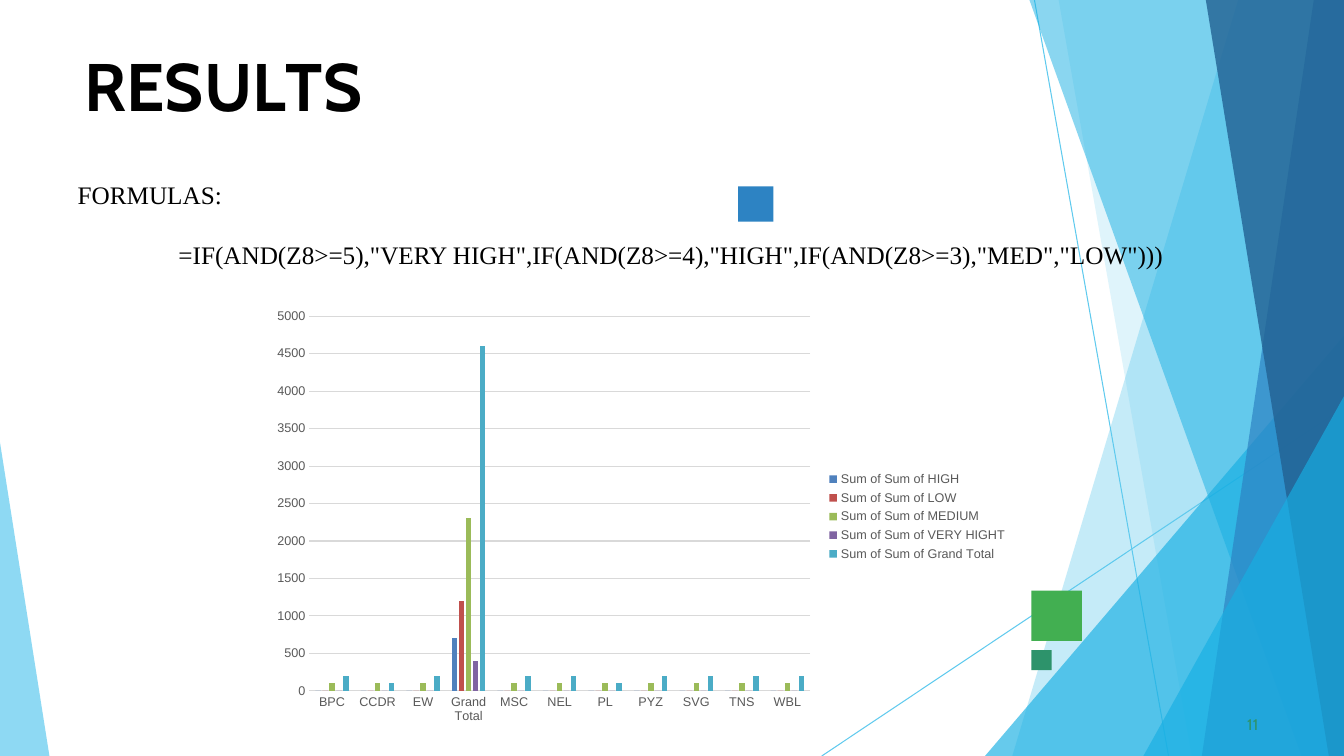
import pptx
import pptx.chart.data
import pptx.dml.color
import pptx.enum.chart
import pptx.enum.shapes
import pptx.enum.text
import pptx.oxml.ns
import pptx.util
from lxml import etree

# Content
TITLE = [("R", 0), ("E", -0.4), ("S", 0.1), ("U", -0.3), ("L", -4), ("TS", 0)]  # text, spacing in points
BODY = [
    "FORMULAS:",
    '=IF(AND(Z8>=5),"VERY HIGH",IF(AND(Z8>=4),"HIGH",IF(AND(Z8>=3),"MED","LOW")))',
]
PAGE = "11"
CATEGORIES = ["BPC", "CCDR", "EW", "Grand Total", "MSC", "NEL", "PL", "PYZ", "SVG", "TNS", "WBL"]
SERIES = [
    ("Sum of Sum of HIGH", "4F81BD", [0, 0, 0, 700, 0, 0, 0, 0, 0, 0, 0]),
    ("Sum of Sum of LOW", "C0504D", [0, 0, 0, 1200, 0, 0, 0, 0, 0, 0, 0]),
    ("Sum of Sum of MEDIUM", "9BBB59", [100, 100, 100, 2300, 100, 100, 100, 100, 100, 100, 100]),
    ("Sum of Sum of VERY HIGHT", "8064A2", [0, 0, 0, 400, 0, 0, 0, 0, 0, 0, 0]),
    ("Sum of Sum of Grand Total", "4BACC6", [200, 100, 200, 4600, 200, 200, 100, 200, 200, 200, 200]),
]
COLORS = {
    "sky": "5FCAEE", "cyan": "17AFE3", "blue": "2D83C3", "navy": "226192", "green": "42AF51",
    "teal": "2D936B", "black": "000000", "label": "595959", "rule": "D9D9D9",
}
CHART_FONT = "Liberation Sans"

# Geometry in inches
W, H = 13.33, 7.5
RAYS = [(10.26, 0, 11.59, H), (W, 4.04, 8.15, H)]
# Wedges against the right edge: top y, top x, bottom x, colour, opacity %
WEDGES = [
    (0, 12.28, 10.04, "sky", 36),
    (0, 10.5, 11.82, "sky", 20),
    (3.33, W, 9.77, "cyan", 66),
    (0, 10.21, 12.91, "cyan", 50),
    (0, 13.03, 11.92, "blue", 70),
    (0, 11.96, 13.18, "navy", 80),
    (3.93, W, 11.34, "cyan", 66),
]
LEFT_WEDGE = [(0, 4.39), (0, H), (0.49, H)]
SQUARES = [(10.23, 5.86, 0.5, "green"), (7.32, 1.85, 0.35, "blue"), (10.23, 6.45, 0.2, "teal")]

inch, pt = pptx.util.Inches, pptx.util.Pt
qn = pptx.oxml.ns.qn


def rgb(value):
    return pptx.dml.color.RGBColor.from_string(COLORS.get(value, value))


def paint(sp, color, opacity=100):
    sp.shadow.inherit = False
    sp.fill.solid()
    sp.fill.fore_color.rgb = rgb(color)
    sp.line.fill.background()
    if opacity < 100:
        tint = sp.element.spPr.find(qn("a:solidFill"))[0]
        etree.SubElement(tint, qn("a:alpha")).set("val", str(opacity * 1000))


def polygon(points, color, opacity):
    points = [(inch(x), inch(y)) for x, y in points]
    builder = s.shapes.build_freeform(*points[0])
    builder.add_line_segments(points[1:], close=True)
    paint(builder.convert_to_shape(), color, opacity)


def style(font, size, color, name, bold=None):
    font.size, font.name, font.bold = pt(size), name, bold
    font.color.rgb = rgb(color)


def place(sp, left, top, width, height):
    sp.left, sp.top, sp.width, sp.height = map(inch, (left, top, width, height))


def tight(tf):
    tf.margin_left = tf.margin_right = tf.margin_bottom = 0
    tf.margin_top = inch(0.01)


def indent(p, left):
    pPr = p._p.get_or_add_pPr()
    pPr.set("marL", str(inch(left)))
    pPr.set("indent", "0")
    return pPr


prs = pptx.Presentation()
prs.slide_width, prs.slide_height = inch(W), inch(H)
s = prs.slides.add_slide(prs.slide_layouts[1])
title, body = s.shapes.title, s.placeholders[1]

# Background rays and wedges
for ray in RAYS:
    line = s.shapes.add_connector(pptx.enum.shapes.MSO_CONNECTOR.STRAIGHT, *map(inch, ray))
    line.line.color.rgb = rgb("sky")
    line.line.width = pt(0.75)
    etree.SubElement(line.element.spPr, qn("a:effectLst"))
for y, top_x, bottom_x, color, opacity in WEDGES:
    polygon([(W, y), (top_x, y), (bottom_x, H), (W, H)], color, opacity)
polygon(LEFT_WEDGE, "sky", 70)

# Accent squares
for x, y, side, color in SQUARES:
    paint(s.shapes.add_shape(pptx.enum.shapes.MSO_SHAPE.RECTANGLE, *map(inch, (x, y, side, side))), color)

# Title and formulas, in front of the decoration
for holder in (title, body):
    s.shapes.element.append(holder.element)
    holder.text_frame.vertical_anchor = pptx.enum.text.MSO_ANCHOR.TOP
    holder.text_frame.auto_size = pptx.enum.text.MSO_AUTO_SIZE.NONE
place(title, 0.83, 0.43, 11.68, 0.81)
tight(title.text_frame)
p = title.text_frame.paragraphs[0]
p.alignment = pptx.enum.text.PP_ALIGN.LEFT
p.space_before = pt(1)
indent(p, 0.01)
for text, spacing in TITLE:
    r = p.add_run()
    r.text = text
    style(r.font, 48, "black", "Cabin", True)
    r.font._element.set("spc", str(round(spacing * 100)))

place(body, 0.67, 1.73, 12, 1.92)
body.text_frame.text = "\n".join(BODY)
for i, p in enumerate(body.text_frame.paragraphs):
    p.space_before = pt(21.4 * i)
    etree.SubElement(indent(p, i), qn("a:buNone"))
    style(p.runs[0].font, 18, "black", "Times New Roman")

# Page number
tf = s.shapes.add_textbox(*map(inch, (12.33, 7.08, 0.25, 0.18))).text_frame
tf.word_wrap = True
tight(tf)
tf.text = PAGE
p = tf.paragraphs[0]
indent(p, 0.04)
style(p.runs[0].font, 11, "teal", "Cabin")
p.runs[0].font._element.set("spc", "10")

# Chart
data = pptx.chart.data.CategoryChartData()
data.categories = CATEGORIES
for name, color, values in SERIES:
    data.add_series(name, values)
kind = pptx.enum.chart.XL_CHART_TYPE.COLUMN_CLUSTERED
chart = s.shapes.add_chart(kind, *map(inch, (2.6, 2.98, 7.49, 4.29)), data).chart
chart.has_title = False
style(chart.font, 10, "black", CHART_FONT)
plot = chart.plots[0]
plot.gap_width, plot.overlap, plot.vary_by_categories = 219, -27, False
for series, (name, color, values) in zip(plot.series, SERIES):
    series.format.fill.solid()
    series.format.fill.fore_color.rgb = rgb(color)
cat, val = chart.category_axis, chart.value_axis
for axis in (cat, val):
    axis.major_tick_mark = axis.minor_tick_mark = pptx.enum.chart.XL_TICK_MARK.NONE
    style(axis.tick_labels.font, 9, "label", CHART_FONT)
val.minimum_scale, val.maximum_scale, val.major_unit = 0, 5000, 500
val.has_major_gridlines = True
val.format.line.fill.background()
for rule in (cat.format.line, val.major_gridlines.format.line):
    rule.color.rgb = rgb("rule")
    rule.width = pt(0.75)
chart.has_legend = True
chart.legend.position = pptx.enum.chart.XL_LEGEND_POSITION.RIGHT
chart.legend.include_in_layout = False
style(chart.legend.font, 9, "label", CHART_FONT)

prs.save("out.pptx")
